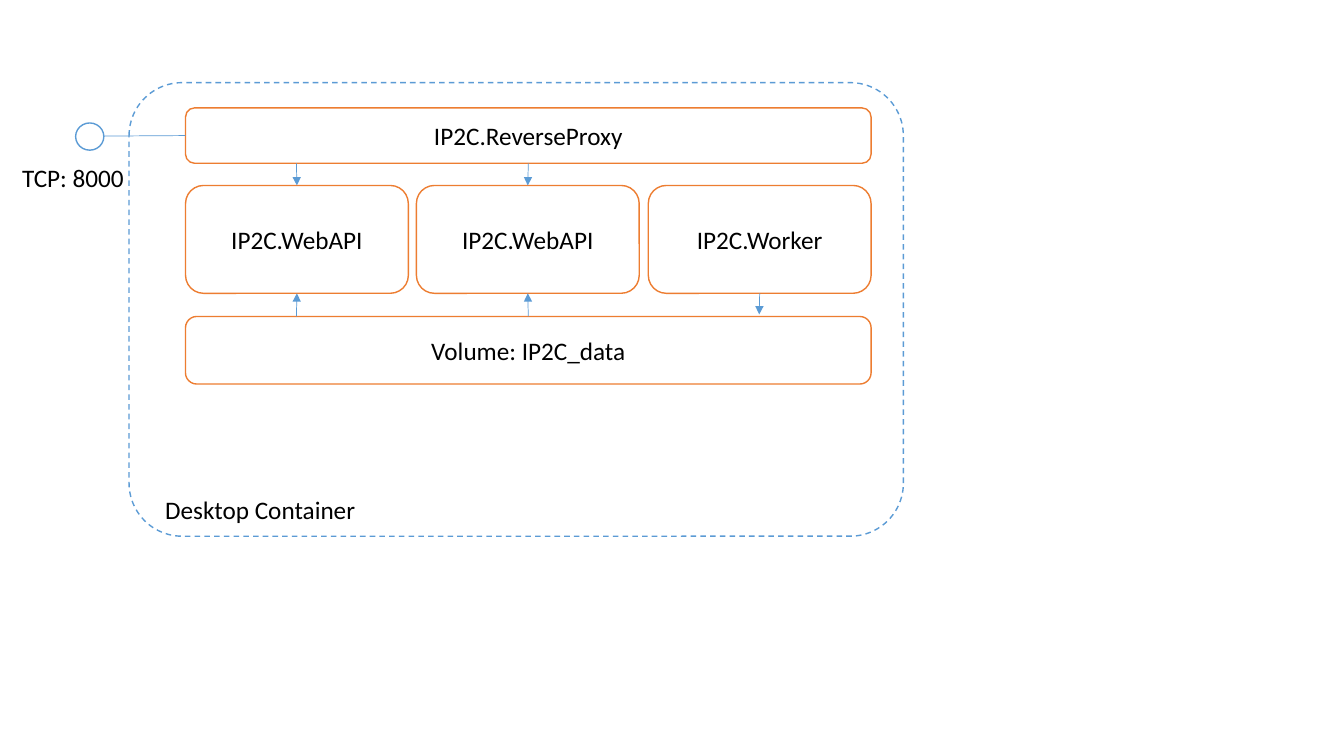
from lxml import etree
from pptx import Presentation
from pptx.dml.color import RGBColor
from pptx.enum.dml import MSO_LINE
from pptx.enum.shapes import MSO_CONNECTOR, MSO_SHAPE
from pptx.enum.text import MSO_ANCHOR, MSO_AUTO_SIZE, PP_ALIGN
from pptx.oxml.ns import qn
from pptx.util import Emu, Pt

ROUNDED = MSO_SHAPE.ROUNDED_RECTANGLE
OVAL = MSO_SHAPE.OVAL
STRAIGHT = MSO_CONNECTOR.STRAIGHT
DASH = MSO_LINE.DASH
MIDDLE = MSO_ANCHOR.MIDDLE
CENTER = PP_ALIGN.CENTER
GROW = MSO_AUTO_SIZE.SHAPE_TO_FIT_TEXT

WHITE = RGBColor(0xFF, 0xFF, 0xFF)
BLACK = RGBColor(0x00, 0x00, 0x00)
BLUE = RGBColor(0x5B, 0x9B, 0xD5)
ORANGE = RGBColor(0xED, 0x7D, 0x31)

EMU_PER_PX = 9144  # 100 px to the inch
TOP, LEFT, BOTTOM = 0, 1, 2

STACK_LEFT, STACK_WIDTH = 184, 680
SERVICES = ["IP2C.WebAPI", "IP2C.WebAPI", "IP2C.Worker"]
SERVICE_TOP, SERVICE_WIDTH, SERVICE_HEIGHT = 184, 221, 107
VOLUME_TOP = 314


def px(length):
    return Emu(length * EMU_PER_PX)


def add_span(para, text):
    span = para.add_run()
    span.text = text
    span.font.name = "Calibri"
    span.font.size = Pt(18)
    span.font.color.rgb = BLACK


def add_outline(page, kind, left, top, width, height, color):
    """Add a white preset shape with a thin coloured outline."""
    shape = page.shapes.add_shape(kind, px(left), px(top), px(width), px(height))
    shape.shadow.inherit = False
    shape.fill.solid()
    shape.fill.fore_color.rgb = WHITE
    shape.line.color.rgb = color
    shape.line.width = Pt(1)
    return shape


def add_component(page, text, left, top, width, height):
    box = add_outline(page, ROUNDED, left, top, width, height, ORANGE)
    box.text_frame.vertical_anchor = MIDDLE
    para = box.text_frame.paragraphs[0]
    para.alignment = CENTER
    add_span(para, text)
    return box


def add_label(page, text, left, top, width, height):
    label = page.shapes.add_textbox(px(left), px(top), px(width), px(height))
    label.text_frame.word_wrap = False
    label.text_frame.auto_size = GROW
    add_span(label.text_frame.paragraphs[0], text)


def add_link(page, start, end, source=None, target=None, arrow=True):
    """Draw a line; source and target are (box, side) pairs to join it to."""
    link = page.shapes.add_connector(STRAIGHT, *map(px, start + end))
    if source:
        link.begin_connect(*source)
    if target:
        link.end_connect(*target)
    link.line.color.rgb = BLUE
    link.line.width = Pt(0.5)
    if arrow:
        outline = link.line._get_or_add_ln()
        etree.SubElement(outline, qn("a:tailEnd"), type="triangle")
    etree.SubElement(link._element.spPr, qn("a:effectLst"))


def main():
    deck = Presentation()
    deck.slide_width, deck.slide_height = px(1333), px(750)
    page = deck.slides.add_slide(deck.slide_layouts[6])

    container = add_outline(page, ROUNDED, 128, 82, 768, 450, BLUE)
    container.adjustments[0] = 0.117
    container.line.dash_style = DASH
    add_label(page, "Desktop Container", 154, 486, 222, 40)

    proxy = add_component(page, "IP2C.ReverseProxy", STACK_LEFT, 107, STACK_WIDTH, 55)
    add_outline(page, OVAL, 75, 122, 28, 27, BLUE)
    add_link(page, (103, 135), (STACK_LEFT, 135), target=(proxy, LEFT), arrow=False)

    pitch = (STACK_WIDTH - SERVICE_WIDTH) / 2
    lefts = [STACK_LEFT + int(column * pitch) for column in range(len(SERVICES))]
    first_api, second_api, worker = [
        add_component(page, name, left, SERVICE_TOP, SERVICE_WIDTH, SERVICE_HEIGHT)
        for name, left in zip(SERVICES, lefts)
    ]
    volume = add_component(page, "Volume: IP2C_data", STACK_LEFT, VOLUME_TOP, STACK_WIDTH, 67)

    first_x, second_x, worker_x = [left + SERVICE_WIDTH // 2 for left in lefts]
    service_bottom = SERVICE_TOP + SERVICE_HEIGHT
    for api, x, above, below in [
        (first_api, first_x, None, None),
        (second_api, second_x, (proxy, BOTTOM), (volume, TOP)),
    ]:
        add_link(page, (x, 162), (x, SERVICE_TOP), above, (api, TOP))
        add_link(page, (x, VOLUME_TOP), (x, service_bottom), below, (api, BOTTOM))
    add_link(page, (worker_x, service_bottom), (worker_x, 312), source=(worker, BOTTOM))

    add_label(page, "TCP: 8000", 12, 156, 122, 40)
    deck.save("out.pptx")


if __name__ == "__main__":
    main()
